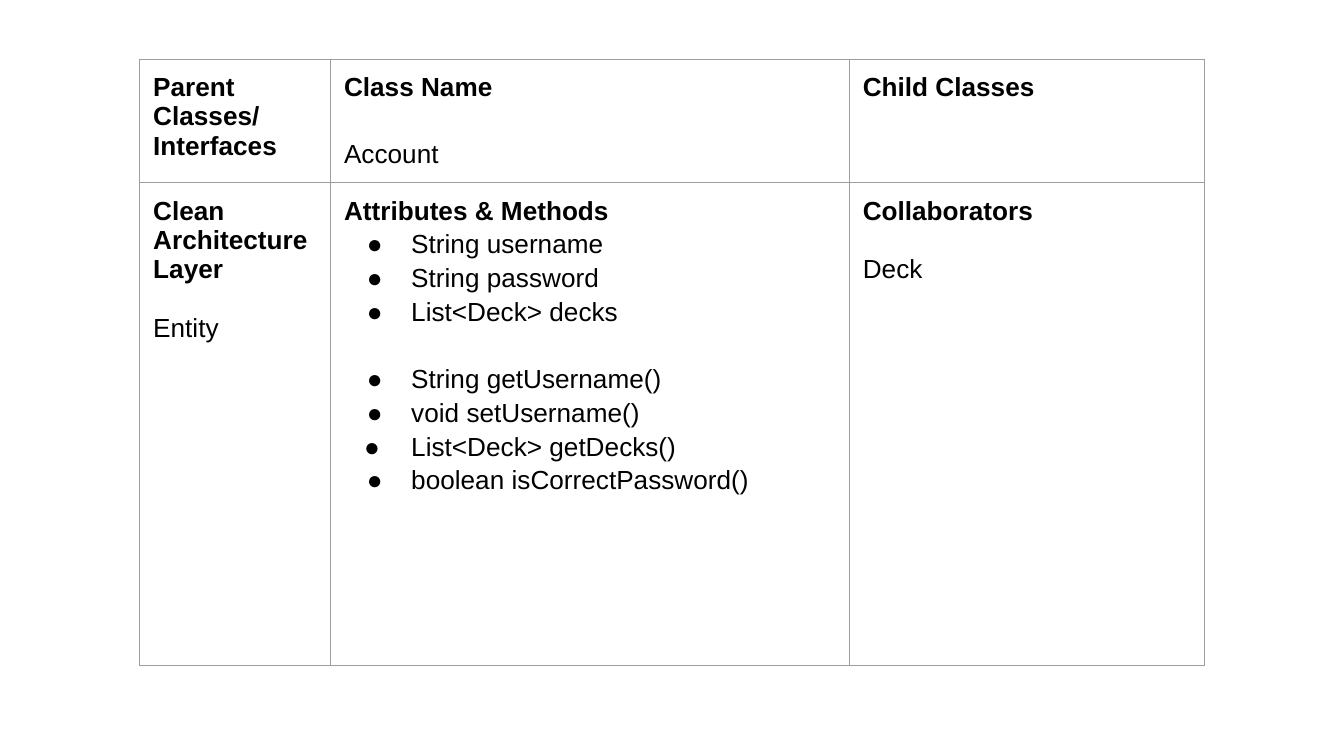
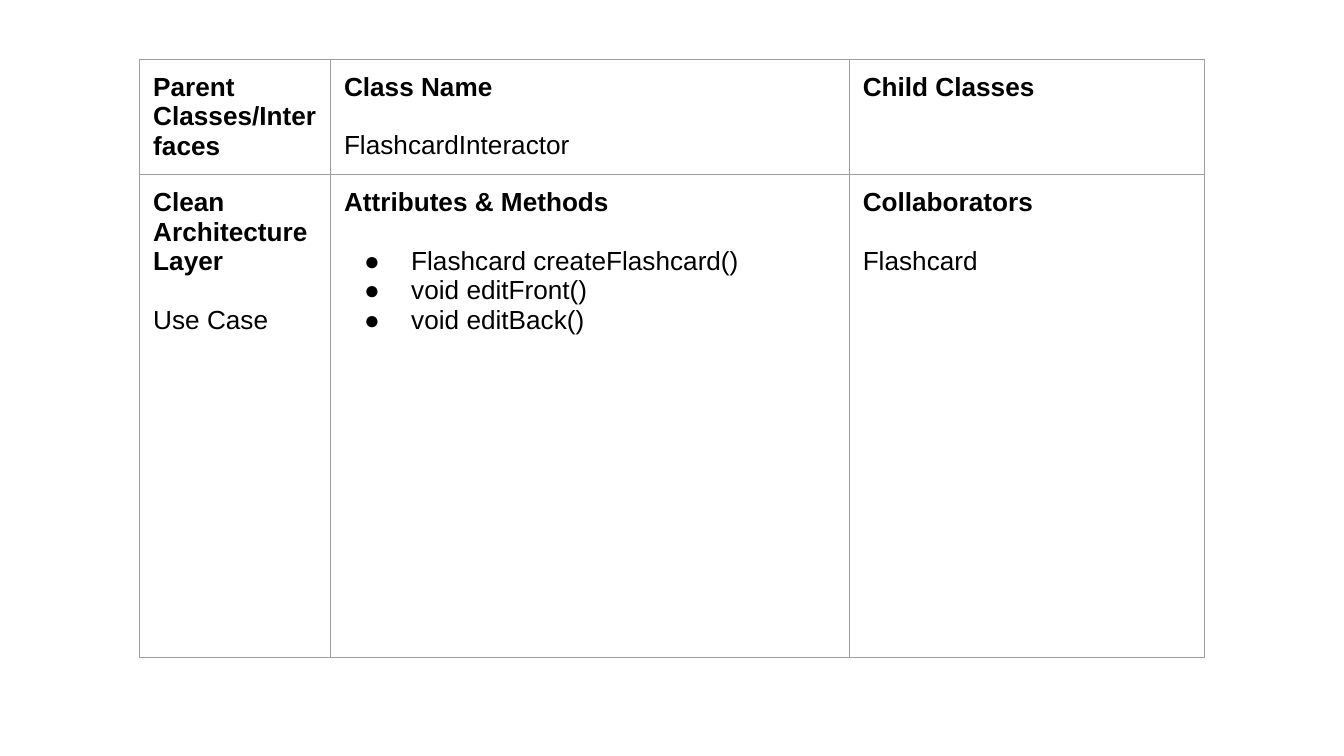
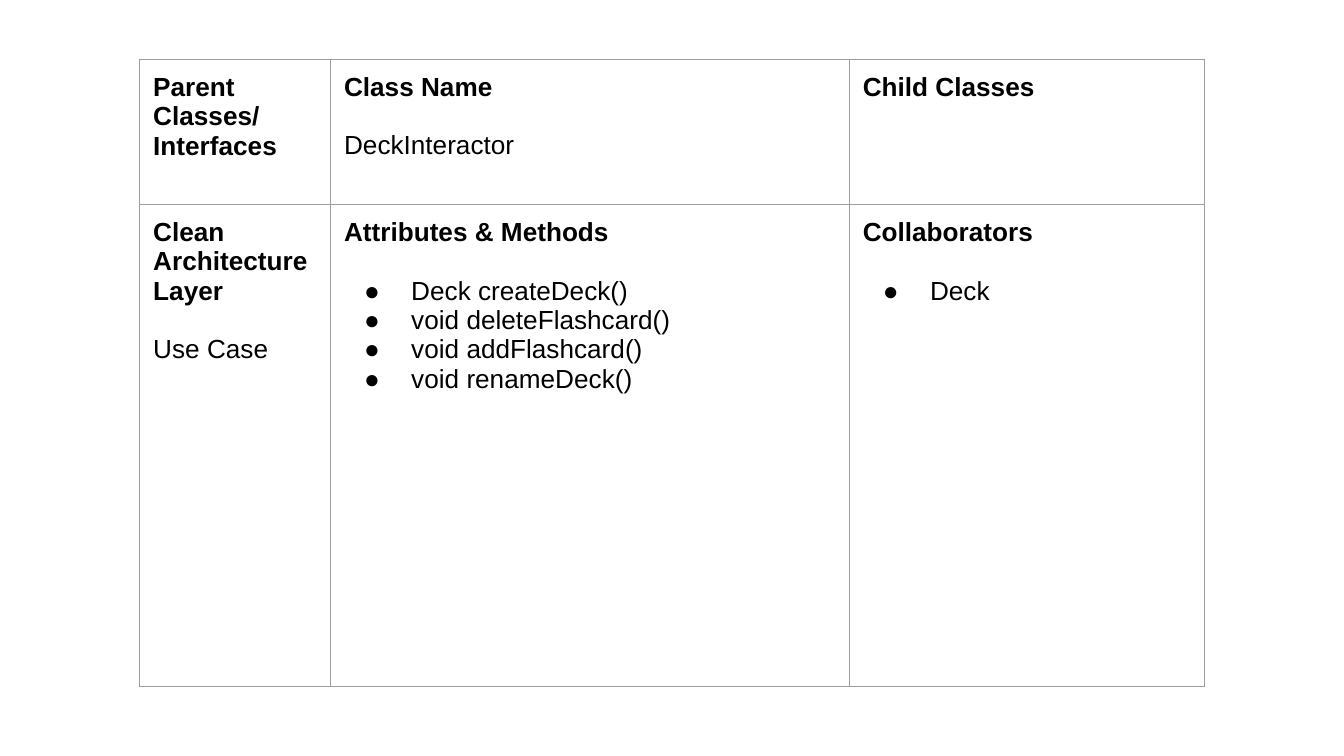
from dataclasses import dataclass

from lxml.etree import SubElement
from pptx import Presentation
from pptx.dml.color import RGBColor
from pptx.oxml import parse_xml
from pptx.oxml.ns import nsdecls, qn
from pptx.table import _Cell
from pptx.text.text import _Paragraph
from pptx.util import Inches, Pt

SLIDE_WIDTH = Inches(10)
SLIDE_HEIGHT = SLIDE_WIDTH * 9 // 16
BLACK = RGBColor(0x00, 0x00, 0x00)
GREY = RGBColor(0x9E, 0x9E, 0x9E)
FONT = {"name": "Arial", "size": Pt(14)}
BORDER_WIDTH = Pt(0.75)
MARGINS = {
    f"margin_{side}": Inches(0.1) for side in ("left", "right", "top", "bottom")
}
TABLE_LEFT, TABLE_TOP = Inches(1.04), Inches(0.44)
COLUMN_WIDTHS = [Inches(width) for width in (1.42, 3.86, 2.64)]
BODY_HEIGHT = Inches(3.59)
TEXT_INDENT = Inches(0.5)
BULLET_HANG = 0.35
NARROW_HANG = 0.33
SINGLE_LINE = 15.65
LOOSE = 1.15


@dataclass(frozen=True)
class Line:
    text: str
    bold: bool = False
    hang: float = 0
    spacing: float = 1.0
    gap: bool = False


@dataclass(frozen=True)
class Card:
    parents: tuple[str, ...]
    class_name: Line
    layer: str
    members: tuple[Line, ...]
    collaborator: Line
    heading_height: float = 0.86


def heading(text: str) -> Line:
    return Line(text, bold=True)


def methods(*names: str) -> tuple[Line, ...]:
    return tuple(
        Line(name, hang=BULLET_HANG, gap=index == 0)
        for index, name in enumerate(names)
    )


def loose_member(text: str, hang: float = NARROW_HANG, gap: bool = False) -> Line:
    return Line(text, hang=hang, spacing=LOOSE, gap=gap)


CARDS = (
    Card(
        parents=("Parent Classes/", "Interfaces"),
        class_name=Line("Account", spacing=LOOSE, gap=True),
        layer="Entity",
        members=(
            loose_member("String username"),
            loose_member("String password"),
            loose_member("List<Deck> decks"),
            loose_member("String getUsername()", gap=True),
            loose_member("void setUsername()"),
            loose_member("List<Deck> getDecks()", hang=BULLET_HANG),
            loose_member("boolean isCorrectPassword()"),
        ),
        collaborator=Line("Deck", gap=True),
    ),
    Card(
        parents=("Parent Classes/Interfaces",),
        class_name=Line("FlashcardInteractor", gap=True),
        layer="Use Case",
        members=methods(
            "Flashcard createFlashcard()", "void editFront()", "void editBack()"
        ),
        collaborator=Line("Flashcard", gap=True),
    ),
    Card(
        parents=("Parent Classes/", "Interfaces"),
        class_name=Line("DeckInteractor", gap=True),
        layer="Use Case",
        members=methods(
            "Deck createDeck()",
            "void deleteFlashcard()",
            "void addFlashcard()",
            "void renameDeck()",
        ),
        collaborator=Line("Deck", hang=BULLET_HANG, gap=True),
        heading_height=1.08,
    ),
)


def set_attributes(target: object, values: dict) -> None:
    for name, value in values.items():
        setattr(target, name, value)


def add_bullet(paragraph: _Paragraph, hang: float) -> None:
    properties = paragraph._p.get_or_add_pPr()
    properties.set("marL", str(TEXT_INDENT))
    properties.set("indent", str(-Inches(hang)))
    color = SubElement(properties, qn("a:buClr"))
    SubElement(color, qn("a:srgbClr"), val=str(BLACK))
    SubElement(properties, qn("a:buFont"), typeface=FONT["name"])
    SubElement(properties, qn("a:buChar"), char="●")


def write_line(paragraph: _Paragraph, line: Line) -> None:
    paragraph.line_spacing = line.spacing
    paragraph.space_before = Pt(SINGLE_LINE * line.spacing if line.gap else 0)
    if line.hang:
        add_bullet(paragraph, line.hang)
    run = paragraph.add_run()
    run.text = line.text
    set_attributes(run.font, FONT | {"bold": line.bold})
    run.font.color.rgb = BLACK


def draw_borders(cell: _Cell) -> None:
    properties = cell._tc.get_or_add_tcPr()
    for index, side in enumerate("LRTB"):
        border = parse_xml(
            f'<a:ln{side} {nsdecls("a")} w="{BORDER_WIDTH}"><a:solidFill>'
            f'<a:srgbClr val="{GREY}"/></a:solidFill></a:ln{side}>'
        )
        properties.insert(index, border)


def fill_cell(cell: _Cell, lines: list[Line]) -> None:
    set_attributes(cell, MARGINS)
    cell.fill.background()
    draw_borders(cell)
    frame = cell.text_frame
    for index, line in enumerate(lines):
        write_line(frame.add_paragraph() if index else frame.paragraphs[0], line)


def add_card(presentation: Presentation, card: Card) -> None:
    slide = presentation.slides.add_slide(presentation.slide_layouts[6])
    heights = [Inches(card.heading_height), BODY_HEIGHT]
    table = slide.shapes.add_table(
        2, 3, TABLE_LEFT, TABLE_TOP, sum(COLUMN_WIDTHS), sum(heights)
    ).table
    set_attributes(table, {"first_row": False, "horz_banding": False})
    for column, width in zip(table.columns, COLUMN_WIDTHS):
        column.width = width
    for row, height in zip(table.rows, heights):
        row.height = height
    contents = [
        [
            [heading(text) for text in card.parents],
            [heading("Class Name"), card.class_name],
            [heading("Child Classes")],
        ],
        [
            [heading("Clean Architecture Layer"), Line(card.layer, gap=True)],
            [heading("Attributes & Methods"), *card.members],
            [heading("Collaborators"), card.collaborator],
        ],
    ]
    for row, row_contents in zip(table.rows, contents):
        for cell, lines in zip(row.cells, row_contents):
            fill_cell(cell, lines)


def main() -> None:
    presentation = Presentation()
    presentation.slide_width = SLIDE_WIDTH
    presentation.slide_height = SLIDE_HEIGHT
    for card in CARDS:
        add_card(presentation, card)
    presentation.save("out.pptx")


if __name__ == "__main__":
    main()
